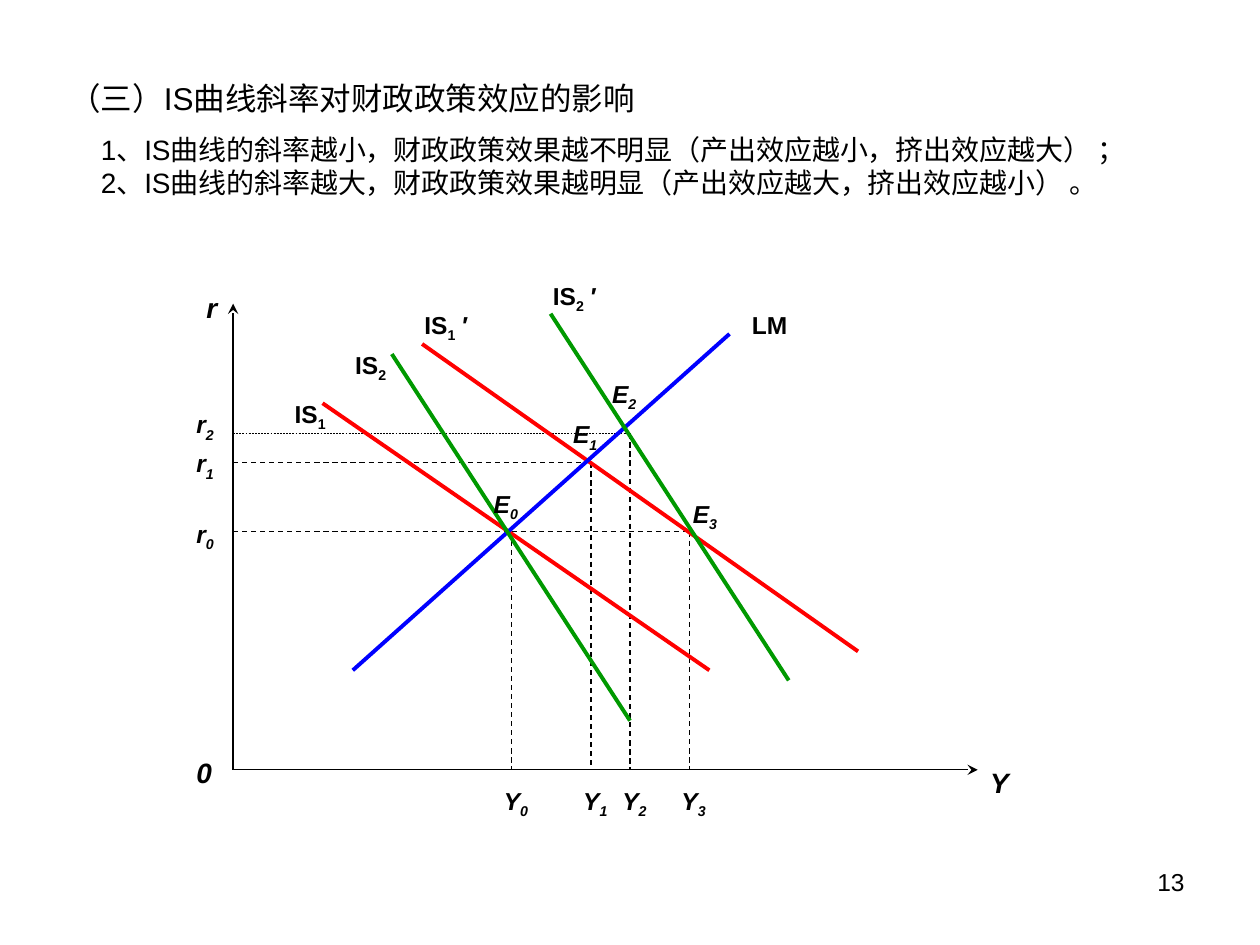
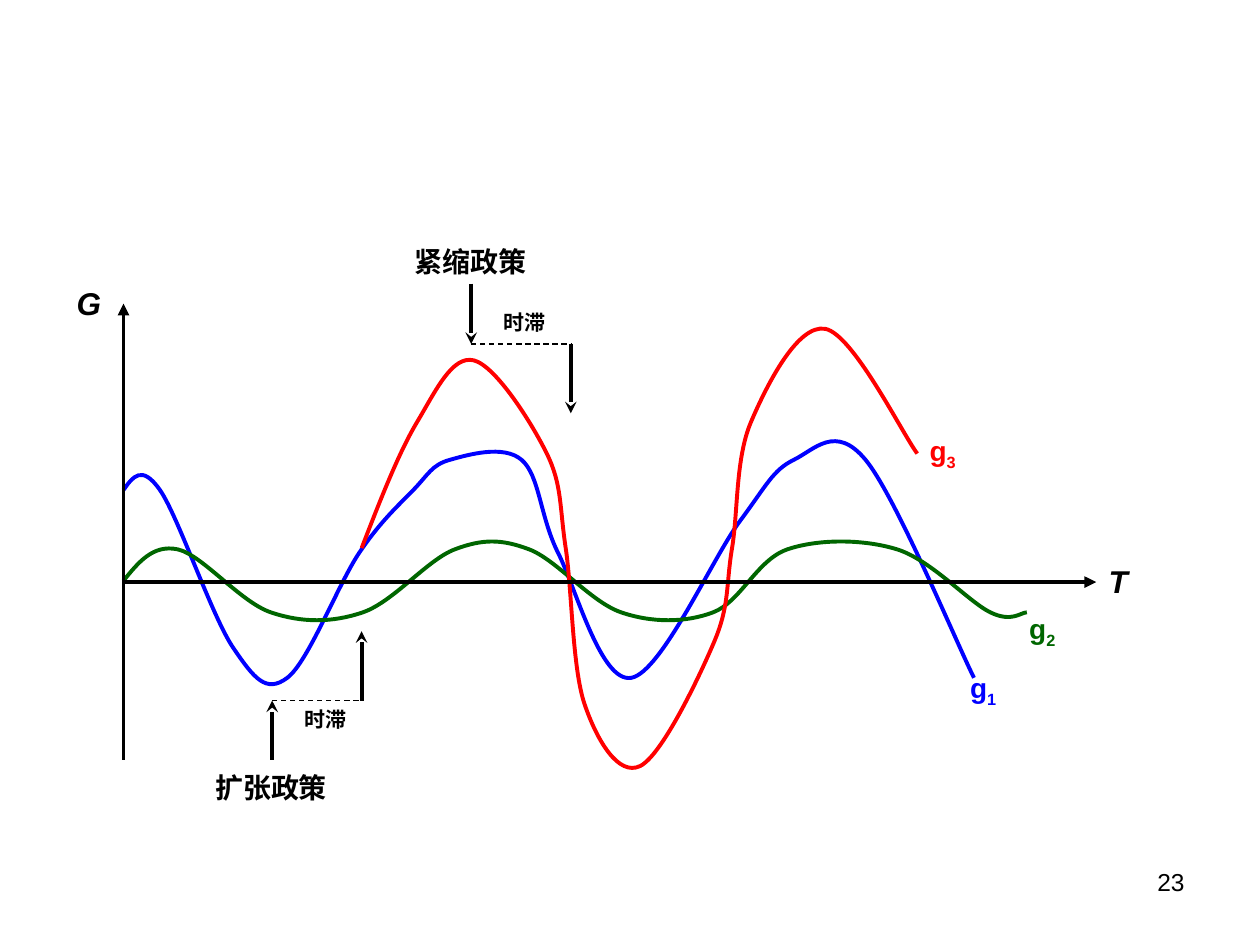
from dataclasses import dataclass

import lxml.etree
import pptx
import pptx.dml.color
import pptx.enum.dml
import pptx.enum.shapes
import pptx.enum.text
import pptx.oxml.ns
import pptx.util

COLUMNS, ROWS = 100, 75
CELL = pptx.util.Inches(0.1)
FONT = "Arial"
COLORS = {
    "black": "000000",
    "red": "FF0000",
    "blue": "0000FF",
    "green": "009900",
    "dark_green": "006600",
}
Point = tuple[float, float]
qn = pptx.oxml.ns.qn
Anchor = pptx.enum.text.MSO_ANCHOR
Align = pptx.enum.text.PP_ALIGN
AutoSize = pptx.enum.text.MSO_AUTO_SIZE


@dataclass
class Stroke:
    start: Point
    end: Point
    color: str = "black"
    weight: float = 2.25
    dashed: bool = False
    arrow: str = ""


@dataclass
class Label:
    col: float
    row: float
    width: float
    text: str
    sub: str = ""
    prime: str = ""
    size: int = 14
    italic: bool = False
    bold: bool = True
    color: str = "black"
    height: float = 3.7
    top_inset: float = 0.5
    anchor: Anchor = Anchor.TOP
    align: Align = Align.LEFT


@dataclass
class Wave:
    color: str
    points: list[Point]


@dataclass
class Equilibrium:
    col: float
    row: float
    guide_from: float
    guide_weight: float = 0.75


def grid(cells: float) -> int:
    return round(cells * CELL)


def rgb(name: str) -> pptx.dml.color.RGBColor:
    return pptx.dml.color.RGBColor.from_string(COLORS[name])


def style(paragraph, size: int, color: str = "black", bold: bool = False,
          italic: bool = False, align: Align = Align.LEFT) -> None:
    paragraph.alignment = align
    paragraph.space_before = pptx.util.Pt(0)
    font = paragraph.font
    font.name, font.size = FONT, pptx.util.Pt(size)
    font.bold, font.italic = bold, italic
    font.color.rgb = rgb(color)


def draw_stroke(slide, stroke: Stroke) -> None:
    ends = [grid(value) for value in (*stroke.start, *stroke.end)]
    connector = slide.shapes.add_connector(pptx.enum.shapes.MSO_CONNECTOR.STRAIGHT, *ends)
    line = connector.line
    line.color.rgb = rgb(stroke.color)
    line.width = pptx.util.Pt(stroke.weight)
    if stroke.dashed:
        line.dash_style = pptx.enum.dml.MSO_LINE.DASH
    properties = connector._element.spPr
    if stroke.arrow:
        outline = properties.find(qn("a:ln"))
        lxml.etree.SubElement(outline, qn("a:tailEnd"), type=stroke.arrow)
    lxml.etree.SubElement(properties, qn("a:effectLst"))


def draw_label(slide, label: Label) -> None:
    box = slide.shapes.add_textbox(
        grid(label.col), grid(label.row), grid(label.width), grid(label.height))
    frame = box.text_frame
    frame.word_wrap = True
    frame.auto_size = AutoSize.SHAPE_TO_FIT_TEXT
    frame.vertical_anchor = label.anchor
    frame.margin_top = grid(label.top_inset)
    paragraph = frame.paragraphs[0]
    style(paragraph, label.size, label.color, label.bold, label.italic, label.align)
    paragraph.add_run().text = label.text
    if label.sub:
        subscript = paragraph.add_run()
        subscript.text = label.sub
        subscript.font._element.set("baseline", "-25000")
    if label.prime:
        paragraph.add_run().text = label.prime


def spline(points: list[Point]) -> list[Point]:
    def sixth(a: Point, b: Point) -> Point:
        return (b[0] - a[0]) / 6, (b[1] - a[1]) / 6

    vertices = []
    for i, (here, there) in enumerate(zip(points, points[1:])):
        after = points[min(i + 2, len(points) - 1)]
        dx, dy = sixth(here, after)
        arriving = (there[0] - dx, there[1] - dy)
        if i:
            dx, dy = sixth(points[i - 1], there)
            leaving = (here[0] + dx, here[1] + dy)
        else:
            leaving = ((here[0] + arriving[0]) / 2, (here[1] + arriving[1]) / 2)
        vertices += [leaving, arriving, there]
    return vertices


def draw_wave(slide, wave: Wave) -> None:
    start, *vertices = [(grid(x), grid(y)) for x, y in [wave.points[0], *spline(wave.points)]]
    builder = slide.shapes.build_freeform(*start)
    builder.add_line_segments(vertices, close=False)
    curve = builder.convert_to_shape()
    curve.shadow.inherit = False
    curve.fill.background()
    curve.line.color.rgb = rgb(wave.color)
    curve.line.width = pptx.util.Pt(2.25)
    outline = curve._element.find(".//" + qn("a:path"))
    segments = outline.findall(qn("a:lnTo"))
    for i in range(0, len(segments), 3):
        bezier = lxml.etree.SubElement(outline, qn("a:cubicBezTo"))
        for segment in segments[i:i + 3]:
            bezier.append(segment[0])
            outline.remove(segment)


def fill_placeholder(placeholder, col: float, row: float, width: float, height: float,
                     lines: list[str], size: int, anchor: Anchor) -> None:
    placeholder.left, placeholder.top = grid(col), grid(row)
    placeholder.width, placeholder.height = grid(width), grid(height)
    frame = placeholder.text_frame
    frame.text = "\n".join(lines)
    frame.auto_size = AutoSize.NONE
    frame.vertical_anchor = anchor
    for paragraph in frame.paragraphs:
        properties = paragraph._p.get_or_add_pPr()
        properties.set("marL", "0")
        properties.set("indent", "0")
        lxml.etree.SubElement(properties, qn("a:buNone"))
        style(paragraph, size)


def add_slide(presentation, layout: int, number: str):
    slide = presentation.slides.add_slide(presentation.slide_layouts[layout])
    draw_label(slide, Label(71.7, 68.3, 23.3, number, bold=False, align=Align.RIGHT))
    return slide


def build_policy_slide(presentation) -> None:
    slide = add_slide(presentation, 1, "13")
    fill_placeholder(slide.shapes.title, 4.5, 5.7, 90, 4.2,
                     ["（三）IS曲线斜率对财政政策效应的影响"], 18, Anchor.MIDDLE)
    fill_placeholder(slide.placeholders[1], 7, 10, 89, 6.6, [
        "1、IS曲线的斜率越小，财政政策效果越不明显（产出效应越小，挤出效应越大） ；",
        "2、IS曲线的斜率越大，财政政策效果越明显（产出效应越大，挤出效应越小） 。",
    ], 16, Anchor.TOP)

    axis_col, axis_row = 18.5, 61.1
    origin = (axis_col, axis_row)
    strokes = [
        Stroke(origin, (axis_col, 24.1), weight=0.75, arrow="stealth"),
        Stroke(origin, (77.6, axis_row), weight=0.75, arrow="stealth"),
    ]
    for point in [
        Equilibrium(40.6, 42.2, axis_col),
        Equilibrium(46.9, 36.7, axis_col),
        Equilibrium(50, 34.4, axis_col, 0.25),
        Equilibrium(54.7, 42.2, 40.6),
    ]:
        crossing = (point.col, point.row)
        strokes += [
            Stroke((point.guide_from, point.row), crossing,
                   weight=point.guide_weight, dashed=True),
            Stroke(crossing, (point.col, axis_row), weight=0.75, dashed=True),
        ]
    strokes += [
        Stroke((25.6, 32), (56.3, 53.2), "red"),
        Stroke((33.5, 27.3), (68.1, 51.7), "red"),
        Stroke((28, 53.2), (57.9, 26.5), "blue"),
        Stroke((31.1, 28.1), (50, 57.2), "green"),
        Stroke((43.7, 24.9), (62.6, 54), "green"),
    ]
    for stroke in strokes:
        draw_stroke(slide, stroke)

    labels = [
        Label(14.6, 59.5, 3.1, "0", size=16, italic=True),
        Label(77.6, 60.3, 4.7, "Y", size=16, italic=True),
        Label(15.4, 22.6, 4.7, "r", size=16, italic=True),
        Label(22.4, 31.2, 4.7, "IS", "1"),
        Label(27.2, 27.3, 5.5, "IS", "2"),
        Label(32.7, 24.1, 7.1, "IS", "1", " ′"),
        Label(42.9, 21.8, 7.1, "IS", "2", " ′"),
        Label(58.7, 24.1, 6.3, "LM", height=3.4),
    ]
    points = [(38.2, 38.3), (44.5, 32.8), (47.6, 29.6), (54, 39.1)]
    labels += [Label(col, row, 4.7, "E", str(i), italic=True)
               for i, (col, row) in enumerate(points)]
    labels += [Label(14.6, row, 6.3, "r", str(i), italic=True)
               for i, row in enumerate([40.7, 35.1, 32])]
    labels += [Label(col, 61.9, 5.5, "Y", str(i), italic=True)
               for i, col in enumerate([39, 45.3, 48.4, 53.1])]
    for label in labels:
        draw_label(slide, label)


def build_cycle_slide(presentation) -> None:
    slide = add_slide(presentation, 6, "23")
    for wave in [
        Wave("blue", [
            (9.8, 38.9), (12.7, 38.9), (18.5, 51.4), (22.8, 53.8), (28.5, 43.9),
            (32.8, 38.9), (35.7, 36.5), (41.4, 36.5), (44.3, 43.9), (50.1, 53.8),
            (58.7, 41.4), (63, 36.5), (68.7, 36.5), (77.3, 53.8)]),
        Wave("dark_green", [
            (9.8, 46.1), (14.1, 43.6), (21.5, 48.6), (28.8, 48.6), (36.1, 43.6),
            (42, 43.6), (49.3, 48.6), (56.6, 48.6), (62.5, 43.6), (71.2, 43.6),
            (78.6, 48.6), (81.5, 48.6)]),
        Wave("red", [
            (28.7, 43.5), (33.1, 33.5), (37.6, 28.6), (43.4, 36), (44.9, 43.5),
            (46.4, 55.9), (50.8, 60.8), (56.7, 50.9), (58.1, 43.5), (59.6, 33.5),
            (65.5, 26.1), (72.8, 36)]),
    ]:
        draw_wave(slide, wave)

    for stroke in [
        Stroke((9.8, 60.3), (9.8, 24.1), arrow="triangle"),
        Stroke((9.8, 46.2), (87, 46.2), arrow="triangle"),
        Stroke((21.6, 60.3), (21.6, 55.6), arrow="stealth"),
        Stroke((21.6, 55.6), (28.7, 55.6), weight=0.75, dashed=True),
        Stroke((28.7, 55.6), (28.7, 50.1), arrow="stealth"),
        Stroke((37.4, 22.5), (37.4, 27.3), arrow="stealth"),
        Stroke((37.4, 27.3), (45.3, 27.3), weight=0.75, dashed=True),
        Stroke((45.3, 27.3), (45.3, 32.8), arrow="stealth"),
    ]:
        draw_stroke(slide, stroke)

    labels = [Label(col, row, 5.5, name, size=18, italic=True, height=3.5, top_inset=0)
              for name, col, row in [("G", 5.1, 22.5), ("T", 87, 44.6)]]
    labels += [Label(col, row, 7.9, "g", sub, size=16, color=color, height=3.5, top_inset=0)
               for sub, color, col, row in [
                   ("1", "blue", 76, 53.2),
                   ("2", "dark_green", 80.7, 48.5),
                   ("3", "red", 72.8, 34.4)]]
    labels += [Label(col, row, 11.8, policy, size=16, height=3.2, top_inset=0,
                     anchor=Anchor.MIDDLE)
               for policy, col, row in [("紧缩政策", 31.9, 19.4), ("扩张政策", 16.1, 61.1)]]
    labels += [Label(col, row, 6, "时滞", size=12, height=3)
               for col, row in [(23.2, 55.6), (39, 24.1)]]
    for label in labels:
        draw_label(slide, label)


def main() -> None:
    presentation = pptx.Presentation()
    presentation.slide_width = COLUMNS * CELL
    presentation.slide_height = ROWS * CELL
    build_policy_slide(presentation)
    build_cycle_slide(presentation)
    presentation.save("out.pptx")


if __name__ == "__main__":
    main()
